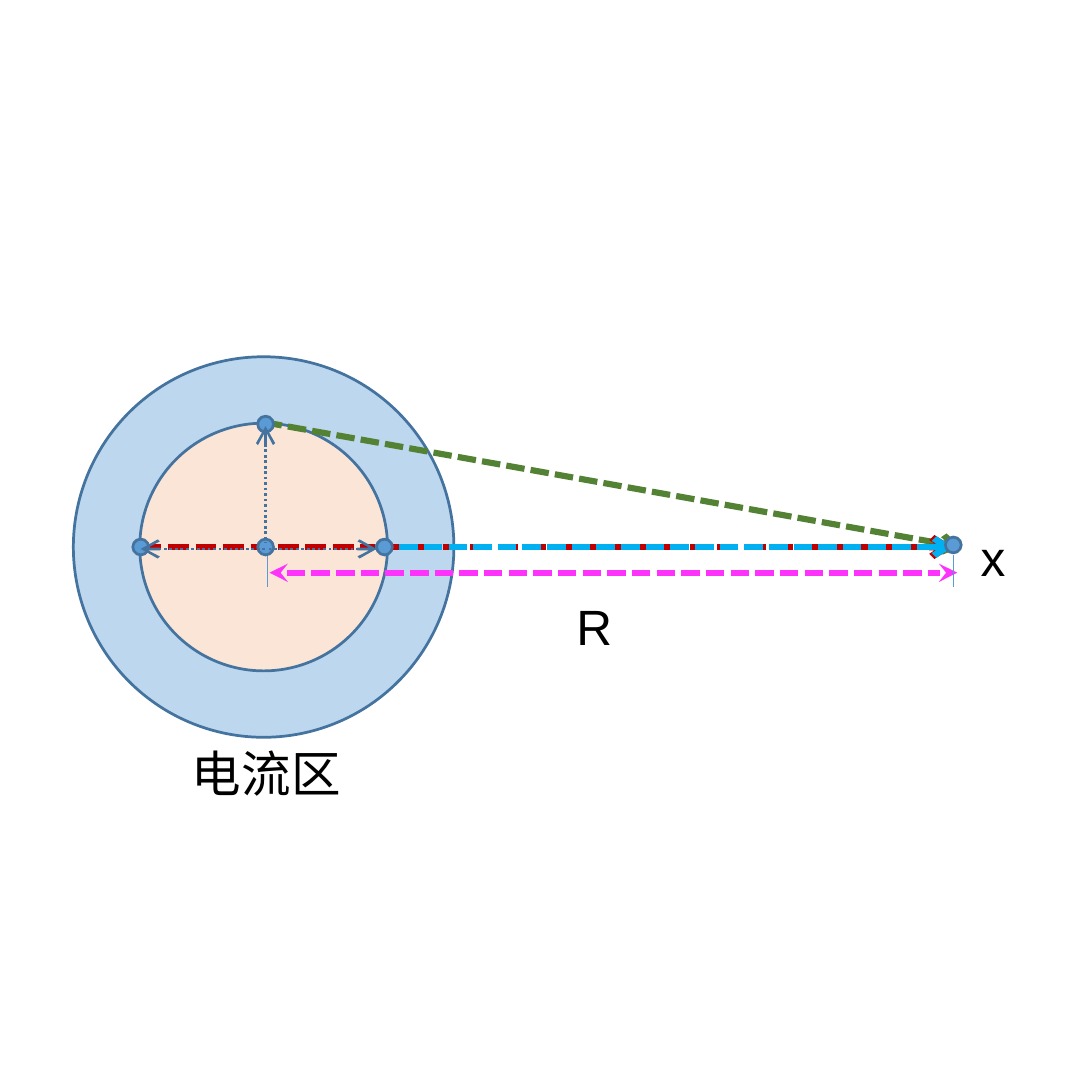
import pptx
import pptx.util
import pptx.dml.color
import pptx.enum.dml
import pptx.enum.shapes
import pptx.enum.text
import pptx.oxml
import pptx.oxml.ns

Inches = pptx.util.Inches
Pt = pptx.util.Pt
DASH = pptx.enum.dml.MSO_LINE.SQUARE_DOT
DOTS = pptx.enum.dml.MSO_LINE.ROUND_DOT

COLORS = {
    "ring": "BDD7EE", "core": "FBE5D6", "outline": "43739E", "point": "5B9BD5",
    "slant": "548235", "far": "C00000", "near": "00B0F0", "distance": "FD33FB",
    "text": "000000",
}


def rgb(name):
    return pptx.dml.color.RGBColor.from_string(COLORS[name])


def add_circle(slide, center, diameter, fill):
    x, y = center
    circle = slide.shapes.add_shape(
        pptx.enum.shapes.MSO_SHAPE.OVAL, Inches(x - diameter / 2),
        Inches(y - diameter / 2), Inches(diameter), Inches(diameter))
    circle.shadow.inherit = False
    circle.fill.solid()
    circle.fill.fore_color.rgb = rgb(fill)
    circle.line.color.rgb = rgb("outline")
    circle.line.width = Pt(1)


def add_line(slide, start, end, color, width, dash=None, head=None, tail=None):
    line = slide.shapes.add_connector(
        pptx.enum.shapes.MSO_CONNECTOR.STRAIGHT, *map(Inches, start + end))
    line.line.color.rgb = rgb(color)
    line.line.width = Pt(width)
    if dash:
        line.line.dash_style = dash
    properties = line.line._get_or_add_ln()
    for tag, arrow in (("a:headEnd", head), ("a:tailEnd", tail)):
        if arrow:
            end_mark = pptx.oxml.parse_xml(f"<{tag} {pptx.oxml.ns.nsdecls('a')}/>")
            end_mark.set("type", arrow)
            properties.append(end_mark)
    line._element.spPr.append(
        pptx.oxml.parse_xml(f"<a:effectLst {pptx.oxml.ns.nsdecls('a')}/>"))


def add_right_angle(slide, points):
    builder = slide.shapes.build_freeform(*points[0], scale=Inches(1))
    builder.add_line_segments(points[1:], close=False)
    angle = builder.convert_to_shape()
    angle.shadow.inherit = False
    angle.fill.background()
    angle.line.color.rgb = rgb("point")
    angle.line.width = Pt(0.5)


def add_label(slide, text, left, top, width):
    label = slide.shapes.add_textbox(
        Inches(left), Inches(top), Inches(width), Inches(0.4))
    frame = label.text_frame
    frame.word_wrap = False
    frame.auto_size = pptx.enum.text.MSO_AUTO_SIZE.SHAPE_TO_FIT_TEXT
    frame.text = text
    font = frame.paragraphs[0].font
    font.name = "Arial"
    font.size = Pt(18)
    font.color.rgb = rgb("text")


def draw_current_zone(slide, left, top, diameter):
    """Draw the current zone in a square box, and the distances to point x."""
    cx, cy = left + diameter / 2, top + diameter / 2

    def at(dx, dy):
        return cx + dx, cy + dy

    radius = 0.62
    middle, north = at(0.01, 0), at(0.01, -radius)
    west, east = at(-radius, 0), at(radius - 0.01, 0)
    x_point = at(3.48, -0.01)

    add_circle(slide, (cx, cy), diameter, "ring")
    add_circle(slide, (cx, cy), 1.25, "core")

    add_line(slide, at(0, -0.63), at(3.52, 0), "slant", 2.25, DASH, tail="arrow")
    add_line(slide, west, at(3.48, 0), "far", 2.5, DASH, tail="arrow")
    add_line(slide, at(0.03, 0.13), at(3.5, 0.13), "distance", 2.25, DASH,
             head="stealth", tail="stealth")
    for dx in (0.02, 3.48):
        add_line(slide, at(dx, 0.2), at(dx, 0.04), "point", 0.5)
    add_line(slide, at(0.56, 0), at(3.48, 0), "near", 2.25, DASH, tail="arrow")

    add_label(slide, "R", cx + 1.48, cy + 0.2, 0.38)
    add_label(slide, "x", cx + 3.52, cy - 0.15, 0.33)

    for point in (east, x_point, west, north, middle):
        add_circle(slide, point, 0.08, "point")

    for tip, foot in ((at(0.01, -0.61), at(0.01, -0.02)),
                      (at(-radius, 0.01), at(0.01, 0.01)),
                      (at(0.57, 0.01), at(0.02, 0.01))):
        add_line(slide, tip, foot, "outline", 1, DOTS, head="arrow")
    add_right_angle(slide, [at(0.01, -0.18), at(0.16, -0.18), at(0.16, 0)])

    add_label(slide, "电流区", cx - 0.46, top + diameter - 0.02, 0.95)


def main():
    deck = pptx.Presentation()
    deck.slide_width = deck.slide_height = Inches(5.51)
    slide = deck.slides.add_slide(deck.slide_layouts[6])
    draw_current_zone(slide, 0.37, 1.8, 1.92)
    deck.save("out.pptx")


if __name__ == "__main__":
    main()
